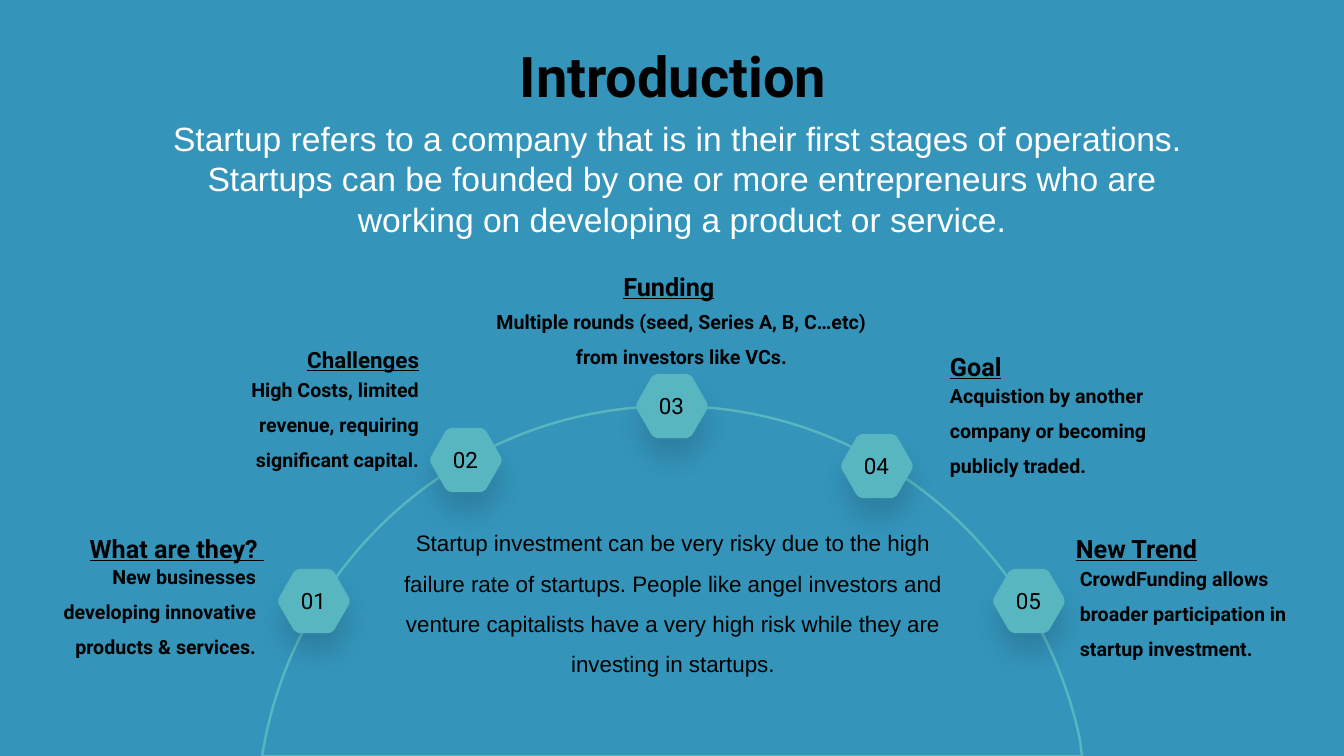
import math
from dataclasses import dataclass

from pptx import Presentation
from pptx import util as u
from pptx.dml.color import RGBColor
from pptx.enum import text as t
from pptx.oxml import parse_xml
from pptx.oxml.ns import nsdecls

EMU_PER_PX = 914400 / 100.8


@dataclass(frozen=True)
class Theme:
    background: str = "3494BA"
    accent: str = "58B6C0"
    ink: str = "000000"
    light: str = "FFFFFF"
    display: str = "Roboto"
    plain: str = "Arial"
    title: int = 40
    intro: int = 24
    heading: int = 18
    small_heading: int = 16
    body: int = 14
    note: int = 16


THEME = Theme()
LEFT, CENTER, RIGHT = t.PP_ALIGN.LEFT, t.PP_ALIGN.CENTER, t.PP_ALIGN.RIGHT

ARCH = [
    [(672, 406)],
    [(873, 406), (1040, 549), (1080, 740)],
    [(1082, 756)],
    [(262, 756)],
    [(265, 740)],
    [(303, 549), (471, 406), (672, 406)],
]

STEPS = [
    ("01", (314, 601)),
    ("02", (466, 460)),
    ("03", (672, 406)),
    ("04", (877, 466)),
    ("05", (1029, 601)),
]

TOPICS = [
    ("What are they? ", "", THEME.heading, (61, 513, 213, 51),
     "New businesses developing innovative products & services.",
     (53, 548, 213, 117), RIGHT),
    ("Challenges", "", THEME.small_heading, (159, 328, 270, 48),
     "High Costs, limited revenue, requiring significant capital.",
     (234, 361, 195, 117), RIGHT),
    ("Funding", " ", THEME.heading, (558, 251, 228, 52),
     "Multiple rounds (seed, Series A, B, C…etc) from investors like VCs.",
     (485, 293, 393, 80), CENTER),
    ("Goal", " ", THEME.heading, (940, 331, 249, 52),
     "Acquistion by another company or becoming publicly traded.",
     (940, 367, 249, 113), LEFT),
    ("New Trend", "", THEME.heading, (1066, 513, 260, 52),
     "CrowdFunding allows broader participation in startup investment.",
     (1070, 550, 260, 113), LEFT),
]


def px(length):
    return u.Emu(round(length * EMU_PER_PX))


def color(value):
    return RGBColor.from_string(value)


def place(shape, box):
    shape.left, shape.top, shape.width, shape.height = map(px, box)


def write(shape, content, *, size, font=THEME.display, ink=THEME.ink, bold=False,
          underline=False, align=CENTER, spacing=1.0, anchor=t.MSO_ANCHOR.TOP, tail=""):
    frame = shape.text_frame
    frame.word_wrap = True
    frame.auto_size = t.MSO_AUTO_SIZE.SHAPE_TO_FIT_TEXT
    frame.vertical_anchor = anchor
    for index, line in enumerate(content.split("\n")):
        paragraph = frame.add_paragraph() if index else frame.paragraphs[0]
        paragraph.alignment = align
        paragraph.line_spacing = spacing
        for words, underlined in ((line, underline), (tail, False)):
            if not words:
                continue
            run = paragraph.add_run()
            run.text = words
            run.font.name = font
            run.font.size = u.Pt(size)
            run.font.bold = bold
            run.font.underline = underlined
            run.font.color.rgb = color(ink)


def add_text(slide, box, content, **style):
    write(slide.shapes.add_textbox(*map(px, box)), content, **style)


def bend(outline, segments):
    lines = outline._element.spPr.findall(".//{*}lnTo")
    for segment in segments:
        parts, lines = lines[:len(segment)], lines[len(segment):]
        if len(parts) == 3:
            curve = parse_xml(f'<a:cubicBezTo {nsdecls("a")}/>')
            parts[0].addprevious(curve)
            for part in parts:
                curve.append(part[0])
                part.getparent().remove(part)


def add_outline(slide, segments, fill):
    start, *rest = [(px(x), px(y)) for segment in segments for x, y in segment]
    builder = slide.shapes.build_freeform(*start, scale=1.0)
    builder.add_line_segments(rest, close=True)
    outline = builder.convert_to_shape()
    bend(outline, segments[1:])
    outline.shadow.inherit = False
    outline.fill.solid()
    outline.fill.fore_color.rgb = color(fill)
    return outline


def add_arch(slide):
    arch = add_outline(slide, ARCH, THEME.background)
    arch.line.color.rgb = color(THEME.accent)
    arch.line.width = u.Pt(1.75)


def toward(start, end, share):
    return tuple(a + share * (b - a) for a, b in zip(start, end))


def rounded_hexagon(center, radius, cut):
    cx, cy = center
    corners = [(cx + radius * math.cos(math.pi * i / 3),
                cy + radius * math.sin(math.pi * i / 3)) for i in range(6)]
    segments = []
    for i, corner in enumerate(corners):
        entry = toward(corner, corners[i - 1], cut / radius)
        leave = toward(corner, corners[(i + 1) % 6], cut / radius)
        segments.append([entry])
        segments.append([toward(entry, corner, 0.4), toward(leave, corner, 0.4), leave])
    return segments


def add_soft_shadow(shape):
    effects = shape._element.spPr.find("{*}effectLst")
    effects.append(parse_xml(
        f'<a:outerShdw {nsdecls("a")} blurRad="{u.Pt(17.6)}" dist="{u.Pt(14.5)}" '
        f'dir="{87 * 60000}" algn="t" rotWithShape="0"><a:srgbClr val="{THEME.ink}">'
        '<a:alpha val="13000"/></a:srgbClr></a:outerShdw>'))


def add_badge(slide, center):
    badge = add_outline(slide, rounded_hexagon(center, 37, 4), THEME.accent)
    badge.line.fill.background()
    add_soft_shadow(badge)


def add_number(slide, number, center):
    cx, cy = center
    add_text(slide, (cx - 24, cy - 19, 47, 38), number, size=THEME.note,
             anchor=t.MSO_ANCHOR.MIDDLE)


def add_topic(slide, heading, tail, size, heading_box, body, body_box, align):
    add_text(slide, body_box, body, size=THEME.body, bold=True, align=align, spacing=1.5)
    add_text(slide, heading_box, heading, size=size, bold=True, underline=True,
             align=align, spacing=1.5, tail=tail)


def main():
    deck = Presentation()
    deck.slide_width, deck.slide_height = px(1344), px(756)
    slide = deck.slides.add_slide(deck.slide_layouts[5])
    slide.background.fill.solid()
    slide.background.fill.fore_color.rgb = color(THEME.background)

    title = slide.shapes.title
    place(title, (302, 36, 742, 96))
    write(title, "Introduction", size=THEME.title, bold=True)

    add_arch(slide)
    for _, center in STEPS:
        add_badge(slide, center)
    for topic in TOPICS:
        add_topic(slide, *topic)
    add_text(slide, (390, 511, 566, 168),
             "Startup investment can be very risky due to the high failure rate of "
             "startups. People like angel investors and venture capitalists have a very "
             "high risk while they are investing in startups.",
             size=THEME.note, font=THEME.plain, spacing=1.5)
    for number, center in STEPS:
        add_number(slide, number, center)
    add_text(slide, (151, 113, 1062, 132),
             "Startup refers to a company that is in their first stages of operations. \n"
             "Startups can be founded by one or more entrepreneurs who are working on "
             "developing a product or service.",
             size=THEME.intro, font=THEME.plain, ink=THEME.light)
    deck.save("out.pptx")


if __name__ == "__main__":
    main()
